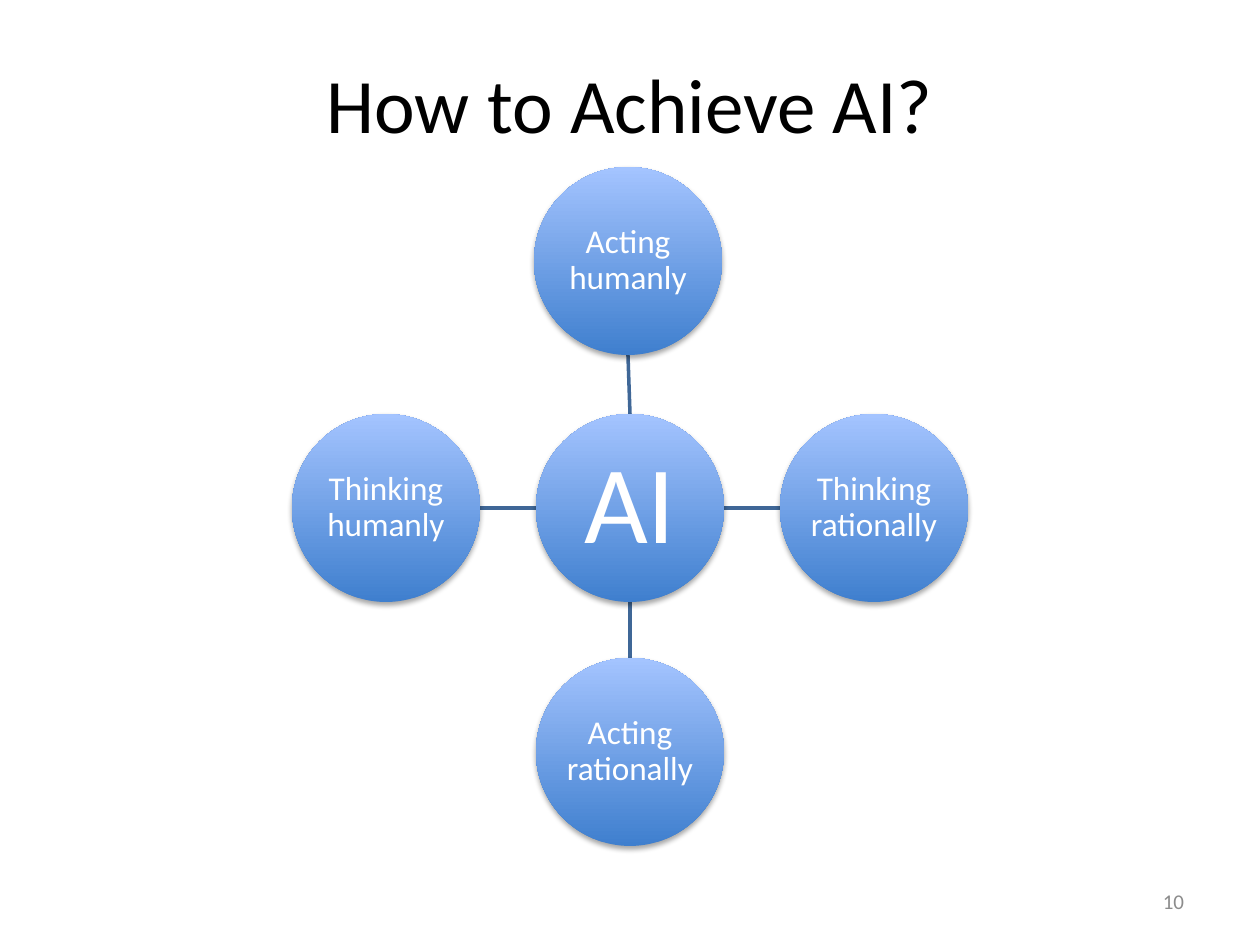
"""Build the slide "How to Achieve AI?" with four approaches around one hub."""
from lxml import etree
from pptx import Presentation
from pptx import util as u
from pptx.dml.color import RGBColor
from pptx.enum import shapes, text
from pptx.oxml import parse_xml
from pptx.oxml.ns import nsdecls, qn

SCALE = 914400 / 126
COLOURS = {"title": "000000", "label": "FFFFFF", "number": "8C8C8C",
           "low": "3F7FCE", "high": "A4C4FF", "spoke": "3F6797"}
SHADOW = (f'<a:effectLst {nsdecls("a")}><a:outerShdw blurRad="39370" dist="22860" '
          'dir="5400000" rotWithShape="0"><a:srgbClr val="000000">'
          '<a:alpha val="35000"/></a:srgbClr></a:outerShdw></a:effectLst>')


def px(*lengths):
    return [u.Emu(round(length * SCALE)) for length in lengths]


def write(holder, words, size, colour, align="CENTER", inset=(13, 6), spacing=1.0):
    frame = holder.text_frame
    frame.word_wrap = True
    frame.vertical_anchor = text.MSO_ANCHOR.MIDDLE
    frame.margin_left = frame.margin_right = px(inset[0])[0]
    frame.margin_top = frame.margin_bottom = px(inset[1])[0]
    paragraph = frame.paragraphs[0]
    paragraph.alignment = text.PP_ALIGN[align]
    paragraph.line_spacing = spacing
    run = paragraph.add_run()
    run.text = words
    run.font.name = "Calibri"
    run.font.size = u.Pt(size)
    run.font.color.rgb = RGBColor.from_string(COLOURS[colour])


deck = Presentation()
deck.slide_width, deck.slide_height = px(1260, 945)
slide = deck.slides.add_slide(deck.slide_layouts[6])

title = slide.shapes.add_textbox(*px(63, 38, 1134, 130))
write(title, "How to Achieve AI?", 44, "title")

diameter, radius = 188, 94
hub_x, hub_y = 630, 508
approaches = [
    ("Acting humanly", -2, -247),
    ("Thinking rationally", 244, 0),
    ("Acting rationally", 0, 244),
    ("Thinking humanly", -244, 0),
]

for words, dx, dy in approaches:
    side_x = (dx > radius) - (dx < -radius)
    side_y = (dy > radius) - (dy < -radius)
    spoke = slide.shapes.add_connector(
        shapes.MSO_CONNECTOR.STRAIGHT,
        *px(hub_x + side_x * radius, hub_y + side_y * radius,
            hub_x + dx - side_x * radius, hub_y + dy - side_y * radius))
    spoke.line.width = u.Pt(2)
    spoke.line.color.rgb = RGBColor.from_string(COLOURS["spoke"])
    etree.SubElement(spoke._element.spPr, qn("a:effectLst"))

for words, dx, dy in [("AI", 0, 0)] + approaches:
    circle = slide.shapes.add_shape(
        shapes.MSO_SHAPE.OVAL,
        *px(hub_x + dx - radius, hub_y + dy - radius, diameter, diameter))
    circle.fill.gradient()
    circle.fill.gradient_angle = 90
    for stop, shade, position in zip(circle.fill.gradient_stops, ("low", "high"), (0, 1)):
        stop.color.rgb = RGBColor.from_string(COLOURS[shade])
        stop.position = position
    circle.line.fill.background()
    circle._element.spPr.append(parse_xml(SHADOW))
    size, inset = (63, (5, 5)) if words == "AI" else (19, (1, 1))
    write(circle, words, size, "label", inset=inset, spacing=0.9)

number = slide.shapes.add_textbox(*px(903, 876, 294, 50))
write(number, "10", 12, "number", align="RIGHT")

deck.save("out.pptx")
